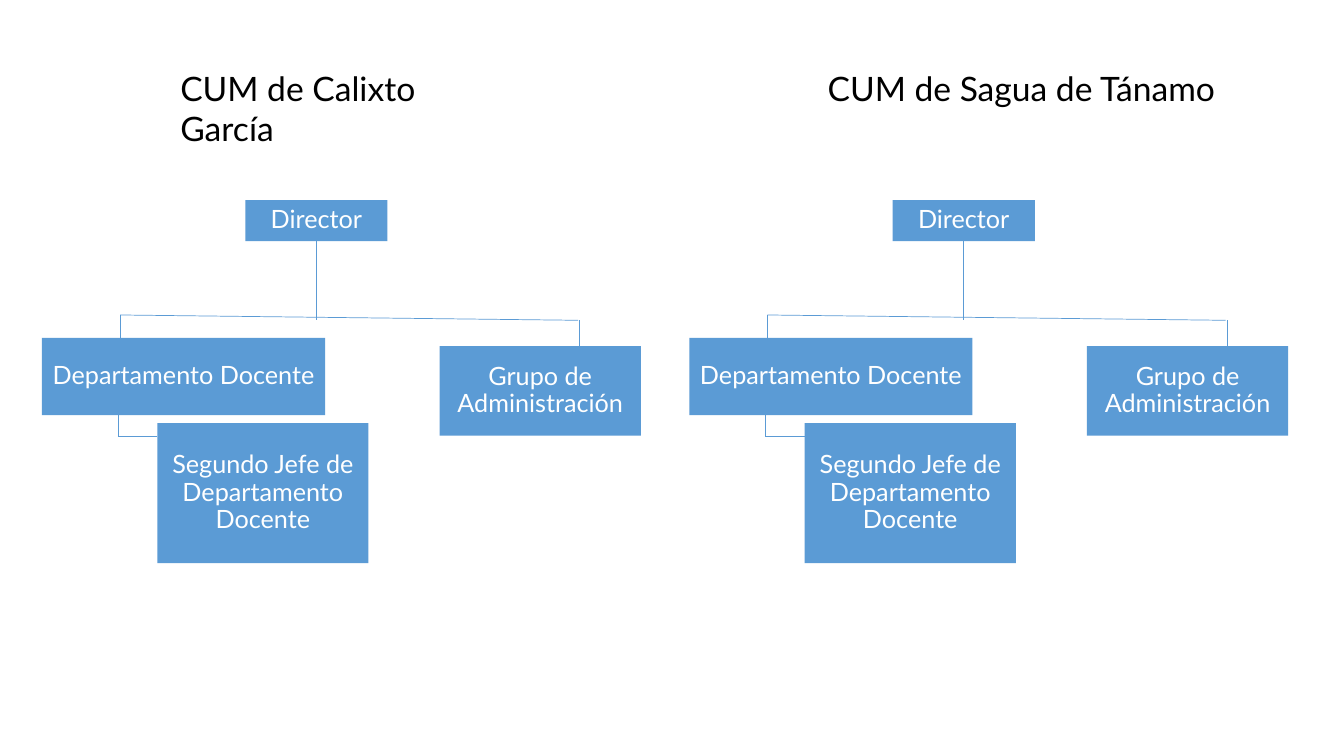
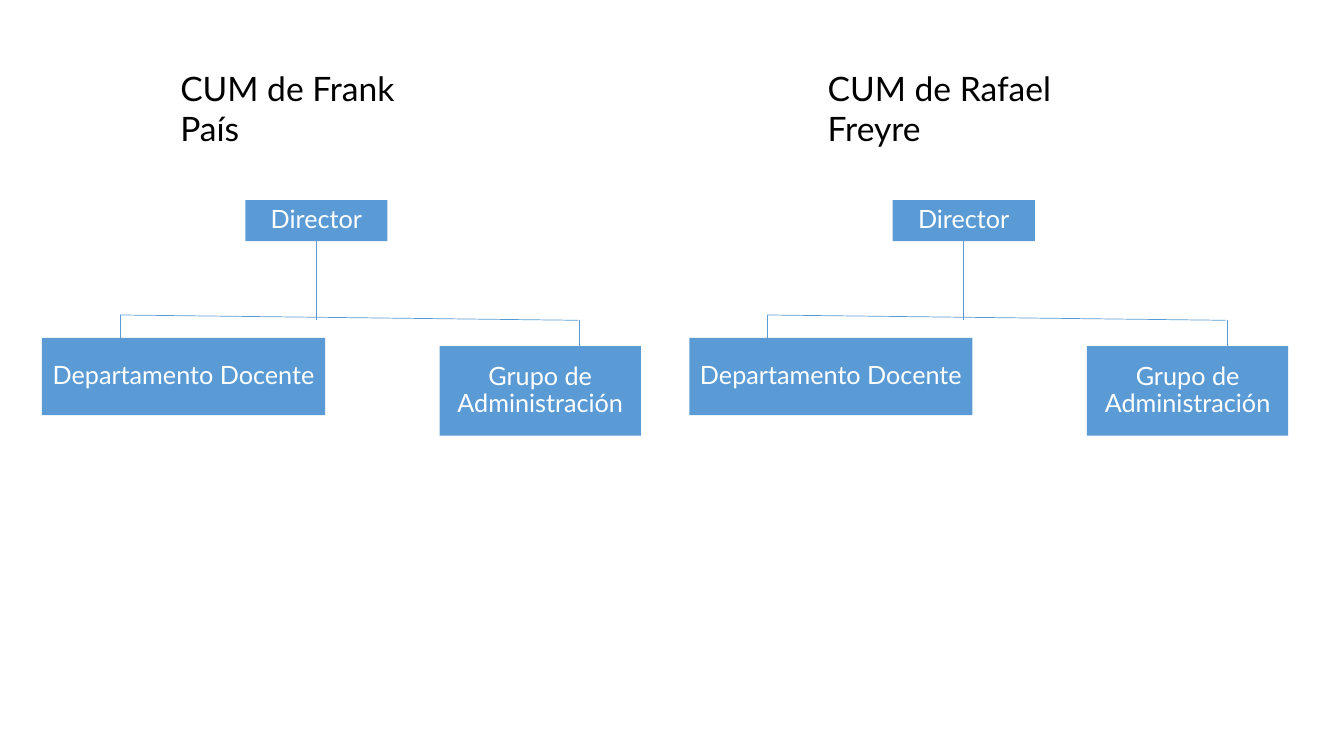
import pptx
import pptx.util
import pptx.dml.color
import pptx.enum.shapes
import pptx.enum.text
import pptx.oxml

Pt = pptx.util.Pt
MSO_ANCHOR = pptx.enum.text.MSO_ANCHOR
PP_ALIGN = pptx.enum.text.PP_ALIGN

BLUE, WHITE, BLACK = "5B9BD5", "FFFFFF", "000000"
COLUMN_STEP = 462.4

# Shared formats
HEADING = dict(frame=dict(word_wrap=True, auto_size=pptx.enum.text.MSO_AUTO_SIZE.NONE,
                          vertical_anchor=MSO_ANCHOR.TOP),
               paragraph=dict(alignment=PP_ALIGN.LEFT, space_before=Pt(0)),
               font=dict(name="Lato", size=Pt(24), bold=False), color=BLACK)
BOX = dict(frame=dict(word_wrap=True, vertical_anchor=MSO_ANCHOR.MIDDLE,
                      margin_left=Pt(1), margin_right=Pt(1),
                      margin_top=Pt(1), margin_bottom=Pt(1)),
           paragraph=dict(alignment=PP_ALIGN.CENTER, line_spacing=0.9),
           font=dict(name="Lato", size=Pt(18)), color=WHITE)

# Chart parts, measured in the left column: left, top, width, height / x1, y1, x2, y2
BASE_BOXES = [("Director", 175.2, 143, 101.6, 29.2),
              ("Departamento Docente", 30, 241.4, 202.2, 55.2),
              ("Grupo de Administración", 314, 247.2, 143.8, 64)]
BASE_LINES = [(85.8, 225, 413, 228.8),
              (85.8, 225, 85.8, 241.4),
              (226, 172.2, 226, 228.8),
              (414, 228.8, 414, 247.2)]
DEPUTY_BOXES = [("Segundo Jefe de Departamento Docente", 112.4, 302.2, 150.8, 100)]
DEPUTY_LINES = [(84.2, 296.6, 84.2, 311.6),
                (84.2, 311.6, 112.4, 311.6)]

# Slides: headings with their widths, boxes, lines
SLIDES = [([("CUM de Calixto García", 200), ("CUM de Sagua de Tánamo", 300)],
           BASE_BOXES + DEPUTY_BOXES, BASE_LINES + DEPUTY_LINES),
          ([("CUM de Frank País", 200), ("CUM de Rafael Freyre", 200)],
           BASE_BOXES, BASE_LINES)]


def rgb(color):
    return pptx.dml.color.RGBColor.from_string(color)


def write(sp, text, style):
    tf = sp.text_frame
    tf.text = text
    p = tf.paragraphs[0]
    r = p.runs[0]
    for target, key in ((tf, "frame"), (p, "paragraph"), (r.font, "font")):
        for name, value in style[key].items():
            setattr(target, name, value)
    r.font.color.rgb = rgb(style["color"])


prs = pptx.Presentation()
prs.slide_width, prs.slide_height = Pt(960), Pt(540)
layout = prs.slide_layouts.get_by_name("Comparison")

for headings, boxes, lines in SLIDES:
    s = prs.slides.add_slide(layout)

    # Headings take the title and the first text placeholder
    title, text, *unused = s.placeholders
    for sp in unused:
        sp.element.getparent().remove(sp.element)

    for column, (sp, (heading, width)) in enumerate(zip((title, text), headings)):
        dx = column * COLUMN_STEP
        sp.left, sp.top, sp.width, sp.height = Pt(121.6 + dx), Pt(44.6), Pt(width), Pt(65)
        write(sp, heading, HEADING)

        # Connecting lines
        for x1, y1, x2, y2 in lines:
            line = s.shapes.add_connector(pptx.enum.shapes.MSO_CONNECTOR.STRAIGHT,
                                          Pt(x1 + dx), Pt(y1), Pt(x2 + dx), Pt(y2))
            line.line.color.rgb = rgb(BLUE)
            line.line.width = Pt(0.5)
            line.element.spPr.append(pptx.oxml.parse_xml(
                '<a:effectLst xmlns:a="http://schemas.openxmlformats.org/drawingml/2006/main"/>'))

        # Organisation boxes
        for label, left, top, width, height in boxes:
            sp = s.shapes.add_shape(pptx.enum.shapes.MSO_SHAPE.RECTANGLE,
                                    Pt(left + dx), Pt(top), Pt(width), Pt(height))
            sp.shadow.inherit = False
            sp.fill.solid()
            sp.fill.fore_color.rgb = rgb(BLUE)
            sp.line.fill.background()
            write(sp, label, BOX)

prs.save("out.pptx")
